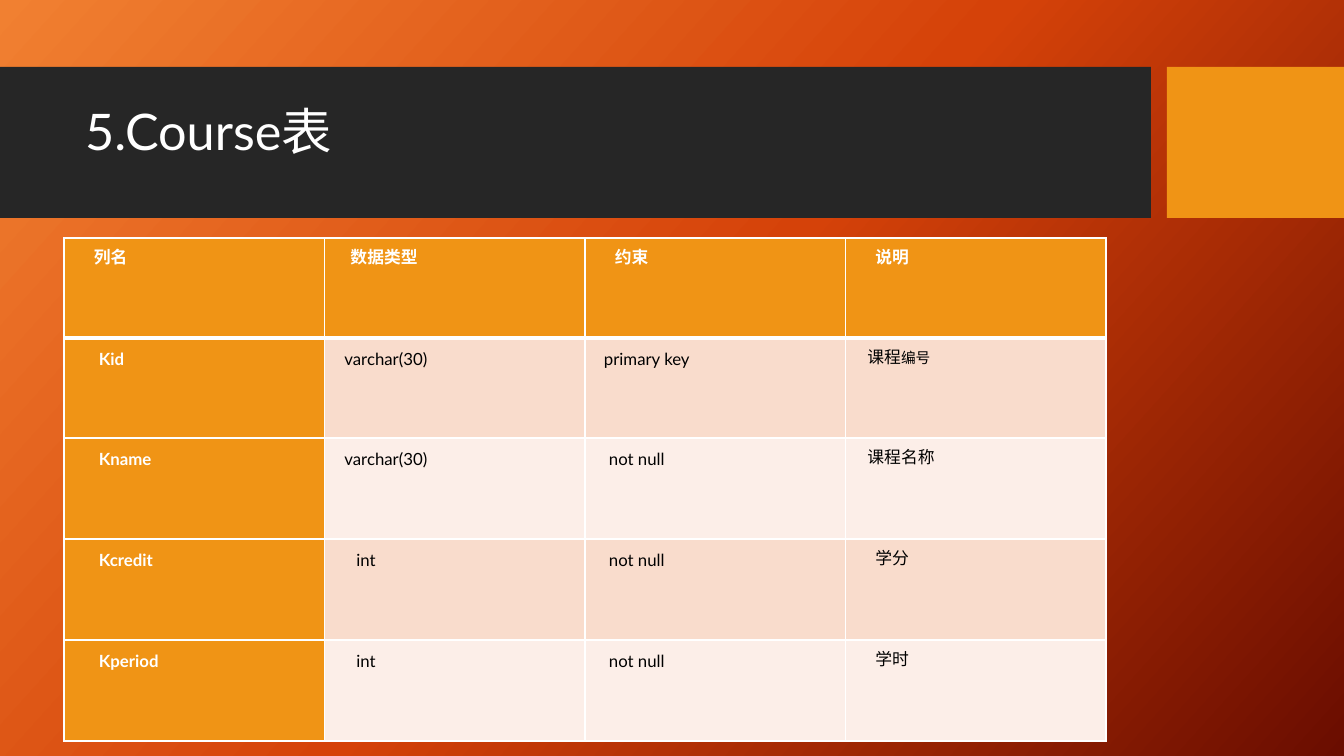
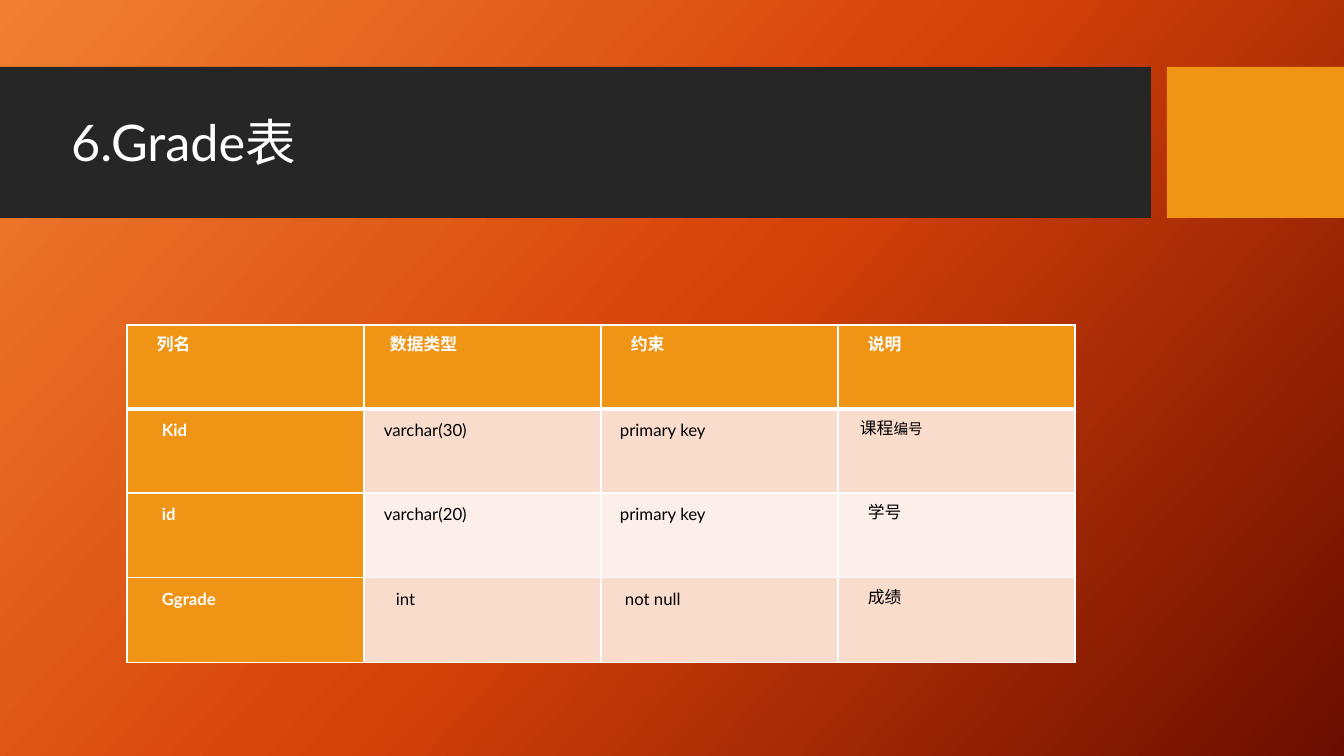
from copy import deepcopy

from lxml import etree
from pptx import Presentation
from pptx import util as u
from pptx.dml.color import RGBColor
from pptx.enum import shapes, text
from pptx.oxml import ns

WHITE = RGBColor(0xFF, 0xFF, 0xFF)
BLACK = RGBColor(0, 0, 0)
CHARCOAL = RGBColor(0x26, 0x26, 0x26)
AMBER = RGBColor(0xF0, 0x94, 0x15)
PEACH = RGBColor(0xF9, 0xDC, 0xCC)
CREAM = RGBColor(0xFC, 0xEE, 0xE8)
GRADIENT = [(0, "F18031"), (50, "D54209"), (100, "6A0D00")]
FONT = "Lato"
PX = 914400 / 100.8

BANDS = [((0, 67, 1151, 151), CHARCOAL), ((1167, 67, 177, 151), AMBER)]
HEADER = ("列名", "数据类型", "约束", "说明")
COLUMN_INDENTS = (35, 20, 24, 30)
TEXT_INDENTS = {"列名": 30, "数据类型": 26, "约束": 30, "int": 32,
                "primary key": 19, "课程|编号": 22, "课程名称": 22}
SLIDES = [
    {"title": "5.Course表", "title_at": (75, 102), "table_at": (64, 238),
     "width": 1042, "row_height": 100,
     "rows": [("Kid", "varchar(30)", "primary key", "课程|编号"),
              ("Kname", "varchar(30)", "not null", "课程名称"),
              ("Kcredit", "int", "not null", "学分"),
              ("Kperiod", "int", "not null", "学时")]},
    {"title": "6.Grade表", "title_at": (61, 113), "table_at": (127, 325),
     "width": 948, "row_height": 84,
     "rows": [("Kid", "varchar(30)", "primary key", "课程|编号"),
              ("id", "varchar(20)", "primary key", "学号"),
              ("Ggrade", "int", "not null", "成绩")]},
]


def px(value):
    return u.Emu(round(value * PX))


def assign(target, **values):
    for name, value in values.items():
        setattr(target, name, value)


def style_run(r, size, color, bold=False):
    assign(r.font, name=FONT, size=u.Pt(size), bold=bold)
    r.font.color.rgb = color


def set_background(layout):
    fill = layout.background.fill
    fill.gradient()
    fill.gradient_angle = 318
    stops = next(layout.element.iter(ns.qn("a:gsLst")))
    stops.insert(1, deepcopy(stops[0]))
    for stop, (position, color) in zip(fill.gradient_stops, GRADIENT):
        stop.position = position / 100
        stop.color.rgb = RGBColor.from_string(color)


def add_bands(s, layout):
    for index, (box, color) in enumerate(BANDS):
        band = s.shapes.add_shape(shapes.MSO_SHAPE.RECTANGLE, *map(px, box))
        band.shadow.inherit = False
        band.fill.solid()
        band.fill.fore_color.rgb = color
        band.line.fill.background()
        layout.shapes.element.insert(2 + index, band.element)


def add_title(s, spec):
    sp = s.shapes.title
    left, top = spec["title_at"]
    assign(sp, left=px(left), top=px(top), width=px(1059), height=px(119))
    tf = sp.text_frame
    assign(tf, word_wrap=True, auto_size=text.MSO_AUTO_SIZE.NONE,
           vertical_anchor=text.MSO_ANCHOR.MIDDLE, margin_bottom=px(59))
    p = tf.paragraphs[0]
    assign(p, alignment=text.PP_ALIGN.LEFT, line_spacing=0.9)
    r = p.add_run()
    r.text = spec["title"]
    style_run(r, 36, WHITE)


def set_borders(cell, widths):
    props = cell._tc.get_or_add_tcPr()
    for index, (side, width) in enumerate(widths.items()):
        line = etree.Element(ns.qn(f"a:ln{side}"), w=str(u.Pt(width)))
        fill = etree.SubElement(line, ns.qn("a:solidFill"))
        etree.SubElement(fill, ns.qn("a:srgbClr"), val=str(WHITE))
        props.insert(index, line)


def fill_cell(cell, words, row, col):
    heading = row == 0 or col == 0
    indent = TEXT_INDENTS.get(words, COLUMN_INDENTS[col])
    assign(cell, margin_left=px(indent), margin_right=px(7),
           margin_top=0, margin_bottom=0)
    cell.fill.solid()
    cell.fill.fore_color.rgb = AMBER if heading else (CREAM, PEACH)[row % 2]
    p = cell.text_frame.paragraphs[0]
    assign(p, alignment=text.PP_ALIGN.JUSTIFY, line_spacing=u.Pt(22))
    for part, size in zip(words.split("|"), (12, 10.5)):
        r = p.add_run()
        r.text = part
        style_run(r, size, WHITE if heading else BLACK, heading)
    set_borders(cell, {"L": 1, "R": 1, "T": 3 if row == 1 else 1,
                       "B": 3 if row == 0 else 1})


def add_column_table(s, spec):
    rows = [HEADER] + spec["rows"]
    heights = [spec["row_height"] + (i > 1) for i in range(len(rows))]
    box = (*spec["table_at"], spec["width"], sum(heights))
    table = s.shapes.add_table(len(rows), len(HEADER), *map(px, box)).table
    assign(table, first_col=True, horz_banding=False)
    for column in table.columns:
        column.width = px(spec["width"] / len(HEADER))
    for i, (row, height) in enumerate(zip(rows, heights)):
        table.rows[i].height = px(height)
        for j, words in enumerate(row):
            fill_cell(table.cell(i, j), words, i, j)


def main():
    prs = Presentation()
    assign(prs, slide_width=px(1344), slide_height=px(756))
    layout = prs.slide_layouts[5]
    set_background(layout)
    for index, spec in enumerate(SLIDES):
        s = prs.slides.add_slide(layout)
        if index == 0:
            add_bands(s, layout)
        add_title(s, spec)
        add_column_table(s, spec)
    prs.save("out.pptx")


if __name__ == "__main__":
    main()
